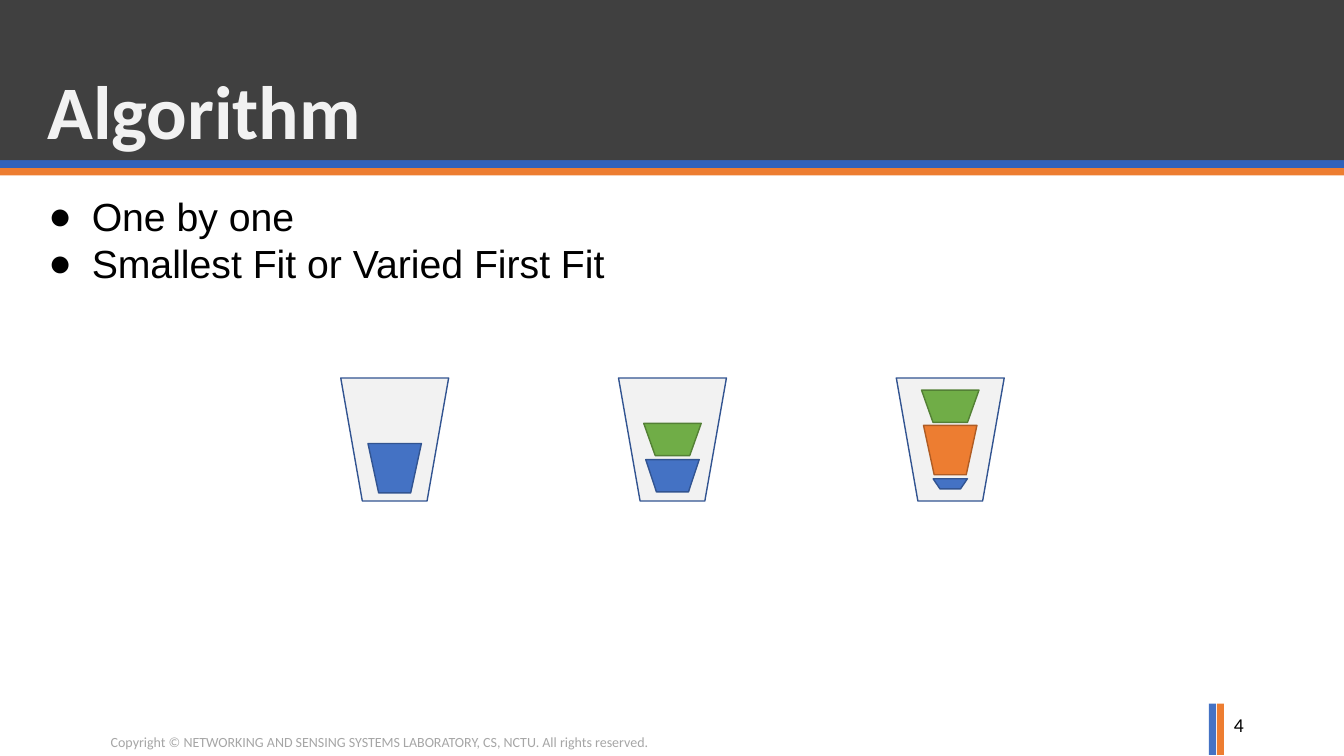
from dataclasses import dataclass

from lxml import etree
from pptx import Presentation
from pptx.dml.color import RGBColor
from pptx.enum.shapes import MSO_SHAPE
from pptx.enum.text import MSO_ANCHOR, MSO_AUTO_SIZE, PP_ALIGN
from pptx.oxml.ns import qn
from pptx.util import Inches, Pt


@dataclass(frozen=True)
class Theme:
    blue: str = "4472C4"
    blue_edge: str = "325491"
    orange: str = "ED7D31"
    orange_edge: str = "AF5C24"
    green: str = "70AD47"
    green_edge: str = "538035"
    band_top: str = "6183CB"
    band_bottom: str = "3062BB"
    header: str = "404040"
    light: str = "F2F2F2"
    muted: str = "A6A6A6"
    text: str = "000000"
    heading_font: str = "Calibri"
    body_font: str = "Arial"
    title_size: int = 54
    body_size: int = 28
    number_size: int = 14
    footer_size: int = 10


THEME = Theme()
SLIDE_WIDTH, SLIDE_HEIGHT = 13.33, 7.5


def place(shape, box):
    shape.left, shape.top, shape.width, shape.height = map(Inches, box)


def style_paragraph(paragraph, font_name, size, color, bold=False):
    paragraph.alignment = PP_ALIGN.LEFT
    font = paragraph.font
    font.name, font.size, font.bold = font_name, Pt(size), bold
    font.color.rgb = RGBColor.from_string(color)


def add_filled_shape(slide, kind, box, fill, edge=None):
    shape = slide.shapes.add_shape(kind, *map(Inches, box))
    shape.shadow.inherit = False
    shape.fill.solid()
    shape.fill.fore_color.rgb = RGBColor.from_string(fill)
    if edge:
        shape.line.color.rgb = RGBColor.from_string(edge)
        shape.line.width = Pt(1)
    else:
        shape.line.fill.background()
    return shape


def add_label(slide, box, text, size, color):
    label = slide.shapes.add_textbox(*map(Inches, box))
    label.text_frame.word_wrap = True
    paragraph = label.text_frame.paragraphs[0]
    paragraph.text = text
    style_paragraph(paragraph, THEME.heading_font, size, color)
    return paragraph


def add_header(slide, box):
    """Dark header with a blue and an orange stripe showing below it."""
    left, top, width, height = box
    add_filled_shape(slide, MSO_SHAPE.RECTANGLE, box, THEME.orange)
    blue_band = add_filled_shape(
        slide, MSO_SHAPE.RECTANGLE, (left, top, width, height - 0.07), THEME.blue)
    blue_band.fill.gradient()
    blue_band.fill.gradient_angle = 270
    for stop, color in zip(blue_band.fill.gradient_stops,
                           (THEME.band_top, THEME.band_bottom)):
        stop.color.rgb = RGBColor.from_string(color)
    add_filled_shape(slide, MSO_SHAPE.RECTANGLE,
                     (left, top, width, height - 0.15), THEME.header)


def fill_title(title, box, text):
    place(title, box)
    frame = title.text_frame
    frame.text = text
    frame.vertical_anchor = MSO_ANCHOR.BOTTOM
    frame.auto_size = MSO_AUTO_SIZE.NONE
    paragraph = frame.paragraphs[0]
    paragraph.line_spacing = 0.9
    style_paragraph(paragraph, THEME.heading_font, THEME.title_size, THEME.light, bold=True)


def fill_bullets(body, box, lines):
    place(body, box)
    frame = body.text_frame
    frame.text = "\n".join(lines)
    frame.auto_size = MSO_AUTO_SIZE.NONE
    for paragraph in frame.paragraphs:
        style_paragraph(paragraph, THEME.body_font, THEME.body_size, THEME.text)
        paragraph.space_before = Pt(0)
        properties = paragraph._p.get_or_add_pPr()
        properties.set("marL", str(Inches(0.44)))
        properties.set("indent", str(Inches(-0.43)))
        bullet = etree.Element(qn("a:buChar"), char="●")
        properties.find(qn("a:defRPr")).addprevious(bullet)


def add_cup(slide, box, blocks):
    """A cup holding centred blocks: (fill, edge, width, height, top offset)."""
    left, top, width, _ = box
    add_filled_shape(slide, MSO_SHAPE.FLOWCHART_MANUAL_OPERATION, box,
                     THEME.light, THEME.blue_edge)
    for fill, edge, block_width, block_height, offset in blocks:
        block_box = (left + (width - block_width) / 2, top + offset,
                     block_width, block_height)
        add_filled_shape(slide, MSO_SHAPE.FLOWCHART_MANUAL_OPERATION,
                         block_box, fill, edge)


def add_cup_row(slide, box):
    left, top, width, height = box
    blue = (THEME.blue, THEME.blue_edge)
    orange = (THEME.orange, THEME.orange_edge)
    green = (THEME.green, THEME.green_edge)
    cups = [
        [(*blue, 0.53, 0.49, 0.65)],
        [(*blue, 0.53, 0.32, 0.81), (*green, 0.57, 0.32, 0.45)],
        [(*blue, 0.34, 0.1, 1), (*orange, 0.53, 0.49, 0.47), (*green, 0.57, 0.32, 0.12)],
    ]
    cup_width = 1.07
    step = (width - cup_width) / (len(cups) - 1)
    for index, blocks in enumerate(cups):
        add_cup(slide, (left + index * step, top, cup_width, height), blocks)


def add_footer(slide, box):
    """Copyright line, two page bars and the page number."""
    left, top, width, height = box
    for index, color in enumerate((THEME.blue, THEME.orange)):
        add_filled_shape(slide, MSO_SHAPE.RECTANGLE,
                         (left + 11.99 + index * 0.08, top, 0.07, 0.51), color)
    add_label(slide, (left + 1, top + 0.25, width - 1, height - 0.25),
              "Copyright © NETWORKING AND SENSING SYSTEMS LABORATORY, CS, NCTU. "
              "All rights reserved.", THEME.footer_size, THEME.muted)
    number = add_label(slide, (left + 12.14, top, 0.83, 0.4), "4",
                       THEME.number_size, THEME.text)
    number.line_spacing = Pt(20)


def build_algorithm_slide(presentation):
    slide = presentation.slides.add_slide(presentation.slide_layouts[1])
    title, body = slide.placeholders
    add_header(slide, (0, -0.03, SLIDE_WIDTH, 1.77))
    # Bring the title in front of the header
    slide.shapes._spTree.append(title._element)
    fill_title(title, (0.37, 0.38, 12.6, 1.22), "Algorithm")
    fill_bullets(body, (0.37, 1.86, 12.6, 5.04),
                 ["One by one", "Smallest Fit or Varied First Fit"])
    add_cup_row(slide, (3.38, 3.75, 6.58, 1.22))
    add_footer(slide, (0, 6.98, SLIDE_WIDTH, 0.52))


def main():
    presentation = Presentation()
    presentation.slide_width = Inches(SLIDE_WIDTH)
    presentation.slide_height = Inches(SLIDE_HEIGHT)
    build_algorithm_slide(presentation)
    presentation.save("out.pptx")


if __name__ == "__main__":
    main()
